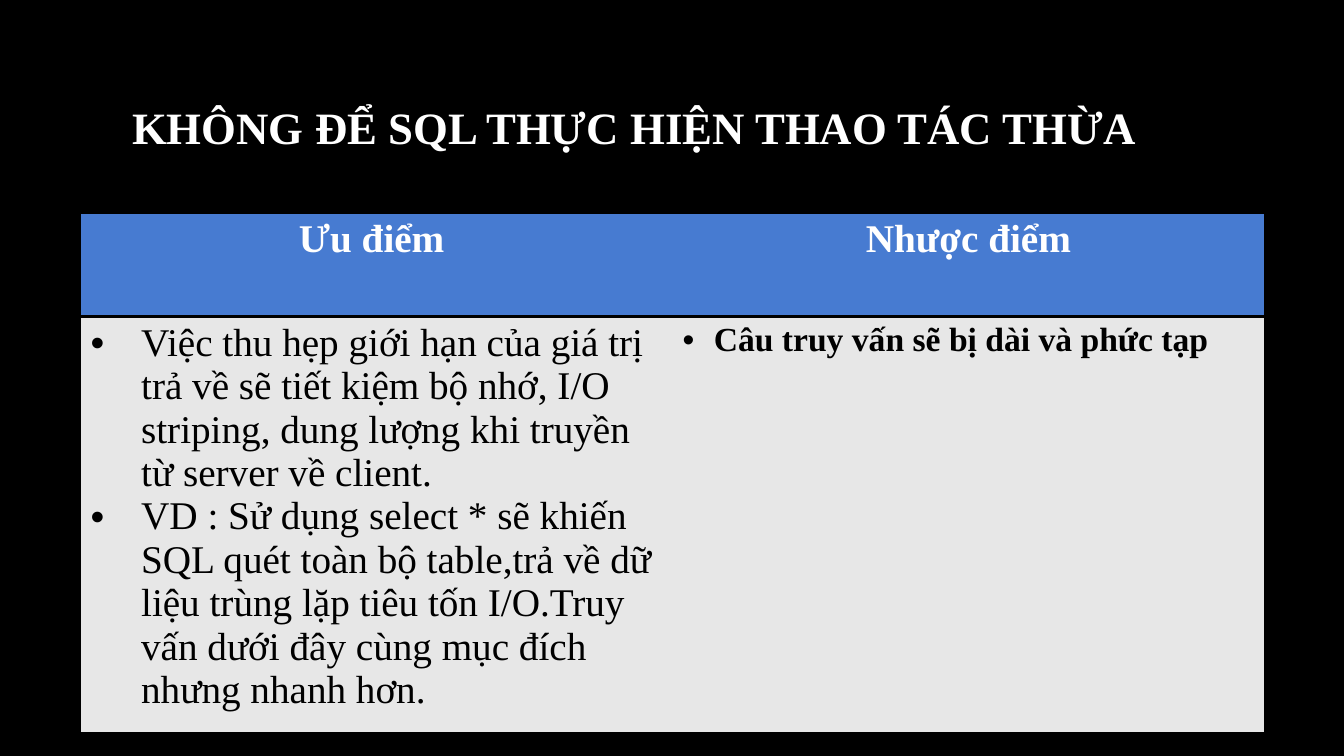
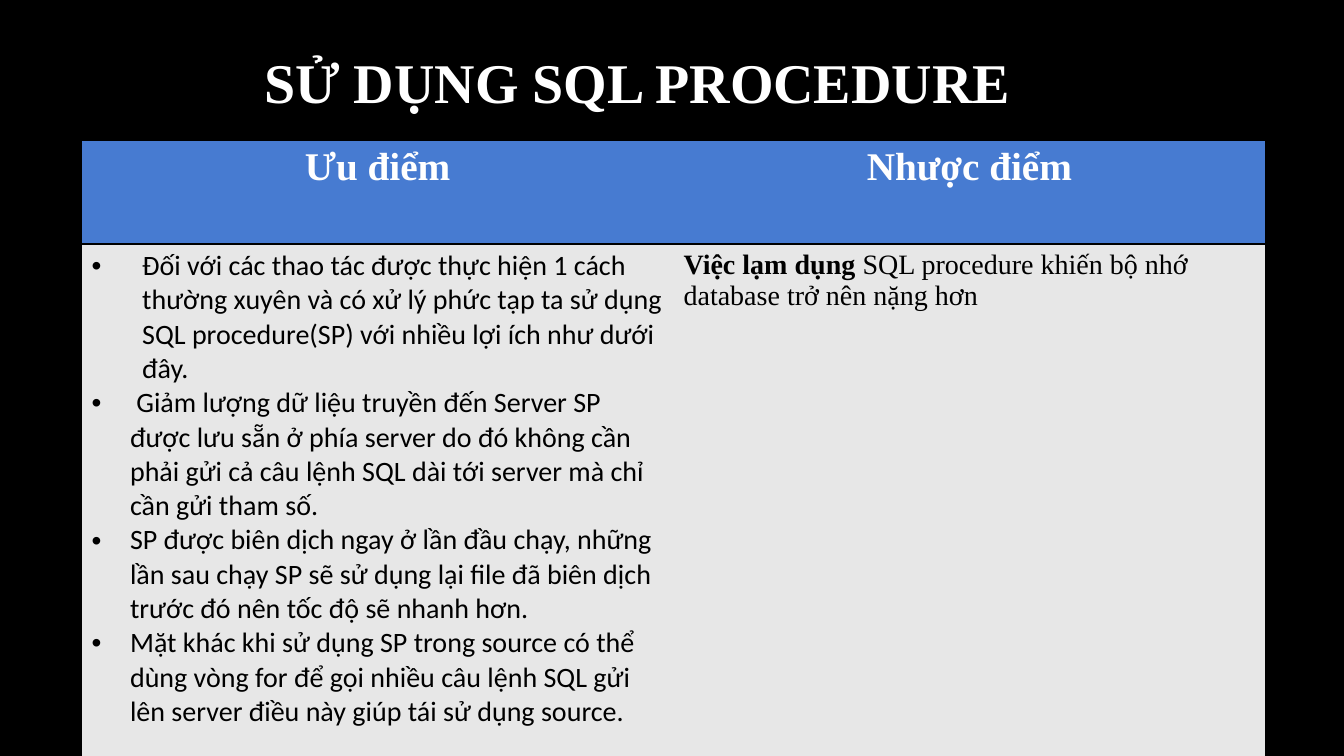
from dataclasses import dataclass

from lxml import etree
from pptx import Presentation
from pptx import util as u
from pptx.dml.color import RGBColor
from pptx.enum import text as t
from pptx.oxml import ns


@dataclass(frozen=True)
class Theme:
    back: str = "000000"
    light: str = "FFFFFF"
    dark: str = "000000"
    head: str = "477BD1"
    body: str = "E7E7E7"
    serif: str = "Times New Roman"
    sans: str = "Calibri"
    large: int = 40
    title: int = 32
    big: int = 28
    mid: int = 24
    small: int = 20
    rule: float = 2


THEME = Theme()
NO_STYLE = "{2D5ABB26-0587-4C30-8999-92F81FD0307C}"
CENTER = t.PP_ALIGN.CENTER


@dataclass(frozen=True)
class Item:
    text: str
    indent: float = 0
    strong: str = ""


@dataclass(frozen=True)
class Column:
    head: str
    items: tuple[Item, ...]
    size: int
    font: str = THEME.serif


@dataclass(frozen=True)
class Page:
    title: str
    size: int
    title_at: tuple[float, float]
    table_at: tuple[float, float]
    rows: tuple[float, float]
    columns: tuple[Column, ...]


PAGES = (
    Page(
        "KHÔNG ĐỂ SQL THỰC HIỆN THAO TÁC THỪA",
        THEME.title,
        (0.75, 0.46),
        (0.8, 2.11),
        (1.03, 4.13),
        (
            Column(
                "Ưu điểm ",
                (
                    Item(
                        "Việc thu hẹp giới hạn của giá trị trả về sẽ tiết kiệm bộ nhớ, "
                        "I/O striping, dung lượng khi truyền từ server về client.",
                        0.5,
                    ),
                    Item(
                        "VD : Sử dụng select * sẽ khiến SQL quét toàn bộ table,trả về "
                        "dữ liệu trùng lặp tiêu tốn I/O.Truy vấn dưới đây cùng mục đích "
                        "nhưng nhanh hơn.",
                        0.5,
                    ),
                ),
                THEME.big,
            ),
            Column(
                "Nhược điểm",
                (Item("", 0.31, "Câu truy vấn sẽ bị dài và phức tạp"),),
                THEME.mid,
            ),
        ),
    ),
    Page(
        "SỬ DỤNG SQL PROCEDURE",
        THEME.large,
        (0.78, 0.01),
        (0.81, 1.39),
        (1.03, 5.24),
        (
            Column(
                "Ưu điểm",
                (
                    Item(
                        "Đối với các thao tác được thực hiện 1 cách thường xuyên và có "
                        "xử lý phức tạp ta sử dụng SQL procedure(SP) với nhiều lợi ích "
                        "như dưới đây.",
                        0.5,
                    ),
                    Item(
                        " Giảm lượng dữ liệu truyền đến Server SP được lưu sẵn ở phía "
                        "server do đó không cần phải gửi cả câu lệnh SQL dài tới server "
                        "mà chỉ cần gửi tham số.",
                        0.38,
                    ),
                    Item(
                        "SP được biên dịch ngay ở lần đầu chạy, những lần sau chạy SP "
                        "sẽ sử dụng lại file đã biên dịch trước đó nên tốc độ sẽ nhanh hơn.",
                        0.38,
                    ),
                    Item(
                        "Mặt khác khi sử dụng SP trong source có thể dùng vòng for để "
                        "gọi nhiều câu lệnh SQL gửi lên server điều này giúp tái sử dụng "
                        "source.",
                        0.38,
                    ),
                ),
                THEME.small,
                THEME.sans,
            ),
            Column(
                "Nhược điểm",
                (
                    Item(
                        " SQL procedure khiến bộ nhớ database trở nên nặng hơn",
                        strong="Việc lạm dụng",
                    ),
                ),
                THEME.small,
            ),
        ),
    ),
)


def add_bullet(para, indent: float) -> None:
    props = para._p.get_or_add_pPr()
    props.set("marL", str(u.Inches(indent)))
    props.set("indent", str(-u.Inches(indent)))
    etree.SubElement(props, ns.qn("a:buFont"), typeface="Arial")
    etree.SubElement(props, ns.qn("a:buChar"), char="•")


def write(frame, items, *, size: int, font: str = THEME.serif,
          color: str = THEME.light, align=t.PP_ALIGN.LEFT) -> None:
    for i, item in enumerate(items):
        para = frame.add_paragraph() if i else frame.paragraphs[0]
        para.alignment = align
        if item.indent:
            add_bullet(para, item.indent)
        for words, bold in ((item.strong, True), (item.text, False)):
            if words:
                run = para.add_run()
                run.text = words
                run.font.name = font
                run.font.size = u.Pt(size)
                run.font.bold = bold
                run.font.color.rgb = RGBColor.from_string(color)


def add_rule(cell, side: str) -> None:
    props = cell._tc.get_or_add_tcPr()
    line = etree.Element(ns.qn(f"a:{side}"), w=str(u.Pt(THEME.rule)))
    fill = etree.SubElement(line, ns.qn("a:solidFill"))
    etree.SubElement(fill, ns.qn("a:srgbClr"), val=THEME.dark)
    props.insert(0, line)


def paint(cell, color: str) -> None:
    cell.fill.solid()
    cell.fill.fore_color.rgb = RGBColor.from_string(color)
    add_rule(cell, "lnB")


def add_title(slide, page: Page) -> None:
    title = slide.shapes.title
    title.left, title.top = map(u.Inches, page.title_at)
    title.width, title.height = u.Inches(11.08), u.Inches(1.59)
    frame = title.text_frame
    frame.word_wrap = True
    frame.vertical_anchor = t.MSO_ANCHOR.MIDDLE
    write(frame, [Item("", strong=page.title)], size=page.size, align=CENTER)


def add_table(slide, page: Page) -> None:
    left, top = map(u.Inches, page.table_at)
    table = slide.shapes.add_table(
        len(page.rows), len(page.columns), left, top,
        u.Inches(11.74), u.Inches(sum(page.rows)),
    ).table
    table._tbl.tblPr.find(ns.qn("a:tableStyleId")).text = NO_STYLE
    for row, height in zip(table.rows, page.rows):
        row.height = u.Inches(height)
    for i, column in enumerate(page.columns):
        head, body = table.cell(0, i), table.cell(1, i)
        paint(head, THEME.head)
        add_rule(head, "lnT")
        write(head.text_frame, [Item("", strong=column.head)],
              size=THEME.big, align=CENTER)
        paint(body, THEME.body)
        write(body.text_frame, column.items, size=column.size,
              font=column.font, color=THEME.dark)


def main() -> None:
    deck = Presentation()
    deck.slide_width, deck.slide_height = u.Inches(13.33), u.Inches(7.5)
    back = deck.slide_master.background.fill
    back.solid()
    back.fore_color.rgb = RGBColor.from_string(THEME.back)
    for page in PAGES:
        slide = deck.slides.add_slide(deck.slide_layouts[5])
        add_title(slide, page)
        add_table(slide, page)
    deck.save("out.pptx")


if __name__ == "__main__":
    main()
